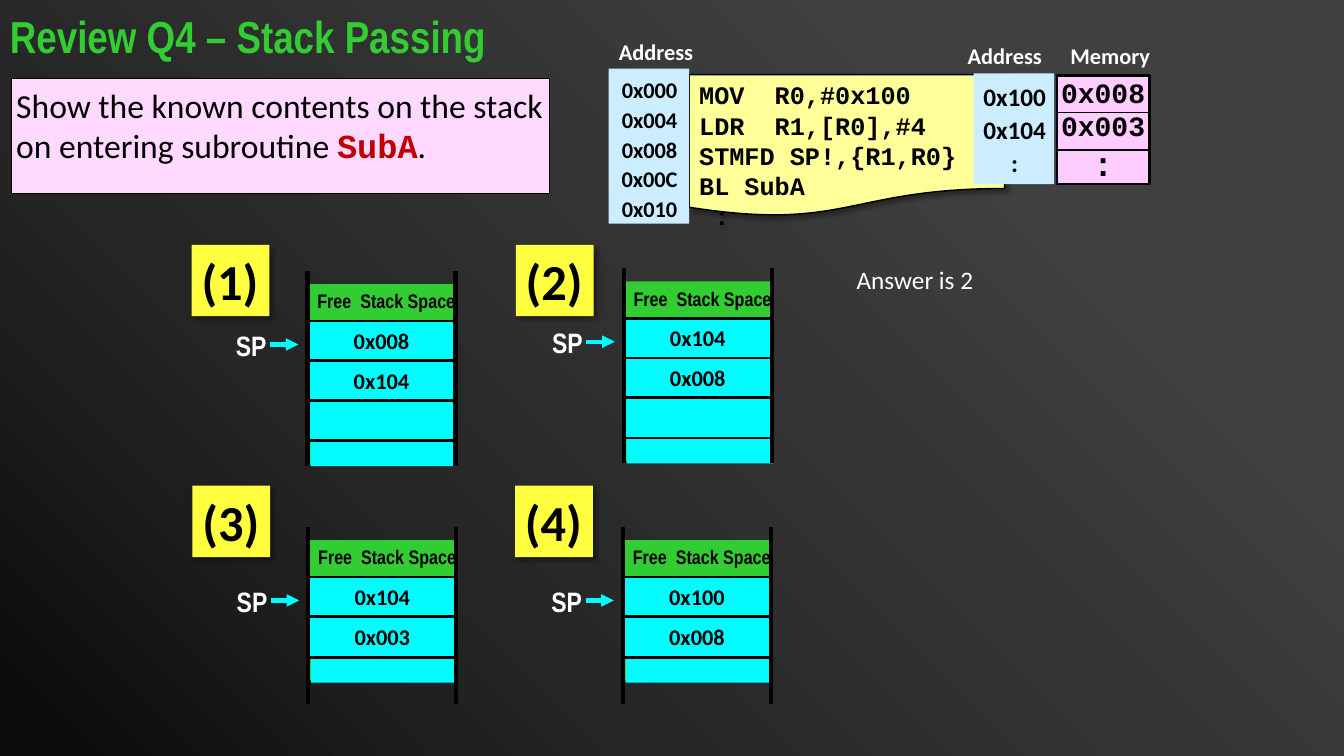
"""Build the stack passing review slide."""
from pptx import Presentation
from pptx.dml.color import RGBColor
from pptx.enum.shapes import MSO_CONNECTOR, MSO_SHAPE
from pptx.enum.text import MSO_ANCHOR, MSO_AUTO_SIZE, PP_ALIGN
from pptx.oxml import parse_xml
from pptx.oxml.ns import nsdecls, qn
from pptx.util import Cm, Pt
from lxml.etree import SubElement

BLACK, WHITE, GREEN, CYAN = "000000", "FFFFFF", "32CD32", "00FCFF"
YELLOW, PALE, SKY, PINK, ROSE = "FFFF40", "FFFF99", "CCECFF", "FFCCFF", "FFD9FF"
RED = "C00000"
SANS, THIN, CODE = "Calibri", "Arial Narrow", "Courier New"
LEFT, MID, RIGHT = PP_ALIGN.LEFT, PP_ALIGN.CENTER, PP_ALIGN.RIGHT


def tint(code):
    """Turn a hex string into a colour."""
    return RGBColor.from_string(code)


def style(run, size, face, color, bold=True):
    """Format one run."""
    font = run.font
    font.size, font.name, font.bold = Pt(size), face, bold
    font.color.rgb = tint(color)


def write(shape, text, size, face=SANS, color=BLACK, bold=True, align=LEFT,
          inset=(0.25, 0.13, 0.25, 0.13), wrap=True, middle=False, after=0, lead=None):
    """Fill a shape with evenly formatted text."""
    frame = shape.text_frame
    frame.text = text
    frame.word_wrap = wrap
    frame.auto_size = MSO_AUTO_SIZE.NONE
    frame.vertical_anchor = MSO_ANCHOR.MIDDLE if middle else MSO_ANCHOR.TOP
    (frame.margin_left, frame.margin_top,
     frame.margin_right, frame.margin_bottom) = map(Cm, inset)
    for para in frame.paragraphs:
        para.alignment = align
        para.space_after = Pt(after)
        if lead:
            para.line_spacing = lead
        for run in para.runs:
            style(run, size, face, color, bold)


def label(shapes, box, text, size, **look):
    """Add a text box."""
    area = shapes.add_textbox(*map(Cm, box))
    write(area, text, size, **look)
    return area


def block(shapes, box, fill, edge=0, form=MSO_SHAPE.RECTANGLE):
    """Add a filled shape, with a black edge if a width is given."""
    shape = shapes.add_shape(form, *map(Cm, box))
    shape.shadow.inherit = False
    shape.fill.solid()
    shape.fill.fore_color.rgb = tint(fill)
    if edge:
        shape.line.color.rgb = tint(BLACK)
        shape.line.width = Pt(edge)
    else:
        shape.line.fill.background()
    return shape


def shade(shape):
    """Give a shape a soft diagonal shadow."""
    cast = parse_xml(
        f'<a:outerShdw {nsdecls("a")} blurRad="50800" dist="38100" dir="2700000" '
        'algn="tl" rotWithShape="0"><a:srgbClr val="000000"><a:alpha val="40000"/>'
        '</a:srgbClr></a:outerShdw>')
    shape._element.spPr.find(qn("a:effectLst")).append(cast)


def rule(shapes, ends, color, width, arrow=False):
    """Add a straight line or arrow."""
    line = shapes.add_connector(MSO_CONNECTOR.STRAIGHT, *map(Cm, ends))
    line.line.color.rgb = tint(color)
    line.line.width = Pt(width)
    if arrow:
        SubElement(line.line._get_or_add_ln(), qn("a:tailEnd"), type="triangle")
    SubElement(line._element.spPr, qn("a:effectLst"))


def backdrop(slide):
    """Paint the dark diagonal gradient."""
    fill = slide.background.fill
    fill.gradient()
    fill.gradient_angle = 225
    stops = fill.gradient_stops._gsLst
    for stop in list(stops):
        stops.remove(stop)
    for place, color in ((0, "404040"), (23, "404040"), (69, "262626"), (97, "0D0D0D")):
        stop = SubElement(stops, qn("a:gs"), pos=str(place * 1000))
        SubElement(stop, qn("a:srgbClr"), val=color)


def badge(shapes, x, y, text):
    """Add a yellow answer number."""
    card = block(shapes, (x, y, 1.96, 1.8), YELLOW)
    shade(card)
    write(card, text, 36, wrap=False)


def heading(shapes, x, y, text, width=2.54, align=RIGHT):
    """Add a white column heading."""
    label(shapes, (x, y, width, 0.94), text, 16, color=WHITE, align=align,
          inset=(0.13,) * 4)


def column(shapes, x, y, height, head, codes, size):
    """Add a blue column of addresses under its heading."""
    block(shapes, (x, y, 2.03, height), SKY)
    heading(shapes, head, y - 0.91, "Address")
    label(shapes, (x, y + 0.2, 2.06, height - 0.2), "\n".join(codes), size,
          align=MID, inset=(0,) * 4, after=2)


def stack(shapes, x, y, values, depth, tall):
    """Add one candidate stack with its pointer and side rails."""
    wide, high, step, first = 3.73, 1.02, 1, 0.93
    free = block(shapes, (x, y, wide, 3.8), GREEN)
    free.height = Cm(first + depth * step + 0.6)
    write(free, "Free  Stack Space", 14, THIN, wrap=False)
    block(shapes, (x + 0.07, y + first + depth * step, 3.7, 0.66), CYAN)
    for row in range(depth):
        cell = block(shapes, (x, y + first + row * step, wide, high), CYAN, 2)
        if row < len(values):
            write(cell, values[row], 16, align=MID, middle=True, lead=Pt(18),
                  inset=(0.25, 0.05, 0.25, 0.05))
    label(shapes, (x - 2.22, y + 1.06, 1.19, 0.97), "SP", 20, face=THIN, color=WHITE,
          align=RIGHT, middle=True, inset=(0.05, 0.05, 0, 0.05))
    rule(shapes, (x - 0.94, y + 1.52, x - 0.23, y + 1.52), CYAN, 3, True)
    for side in (x, x + wide):
        rule(shapes, (side, y - 0.33, side, y + tall), BLACK, 3)


def prompt(shapes):
    """Add the question in its pink panel."""
    block(shapes, (0.28, 1.98, 13.56, 2.9), ROSE, 0.75)
    area = label(shapes, (0.28, 2.13, 13.54, 2.06),
                 "Show the known contents on the stack on entering subroutine ", 24,
                 bold=False, inset=(0.13, 0, 0, 0))
    para = area.text_frame.paragraphs[0]
    for text, face, color, bold in (("SubA", CODE, RED, True), (".", SANS, BLACK, False)):
        run = para.add_run()
        run.text = text
        style(run, 24, face, color, bold)


def program(shapes):
    """Add the code sheet with its addresses."""
    sheet = block(shapes, (17.37, 1.88, 7.95, 3.58), PALE, 1,
                  MSO_SHAPE.FLOWCHART_DOCUMENT)
    shade(sheet)
    write(sheet, "MOV  R0,#0x100\nLDR  R1,[R0],#4\nSTMFD SP!,{R1,R0}\nBL SubA\n :",
          18, CODE)
    codes = ("0x000", "0x004", "0x008", "0x00C", "0x010")
    column(shapes.add_group_shape().shapes, 15.34, 1.73, 3.91, 15.06, codes, 16)


def memory(shapes):
    """Add the memory table with its addresses."""
    block(shapes, (26.64, 1.9, 2.34, 2.74), PINK, 2)
    heading(shapes, 26.57, 0.94, "Memory", 2.82, MID)
    column(shapes, 24.54, 1.85, 2.79, 23.85, ("0x100", "0x104", ":"), 18)
    for y in (2.84, 3.78):
        rule(shapes, (26.64, y, 28.98, y), BLACK, 0.75)
    cells = label(shapes, (26.67, 1.9, 2.26, 2.74), "0x008\n0x003\n:", 20,
                  face=CODE, align=MID, inset=(0,) * 4)
    cells.text_frame.paragraphs[2].runs[0].font.size = Pt(24)


def main():
    """Build and save the slide."""
    deck = Presentation()
    deck.slide_width, deck.slide_height = Cm(33.87), Cm(19.05)
    slide = deck.slides.add_slide(deck.slide_layouts[5])
    shapes = slide.shapes
    backdrop(slide)
    title = shapes.title
    title.left, title.top, title.width, title.height = map(Cm, (0, 0.1, 23.85, 1.75))
    write(title, "Review Q4 – Stack Passing", 32, THIN, GREEN, middle=True, lead=0.9)
    prompt(shapes)
    program(shapes)
    memory(shapes)
    for name, left, top, x, y, values, depth, tall in (
            ("(1)", 4.83, 6.17, 7.75, 7.16, ("0x008", "0x104"), 3, 4.57),
            ("(2)", 13, 6.17, 15.72, 7.09, ("0x104", "0x008"), 3, 4.57),
            ("(3)", 4.85, 12.24, 7.77, 13.61, ("0x104", "0x003"), 2, 4.14),
            ("(4)", 12.98, 12.24, 15.7, 13.61, ("0x100", "0x008"), 2, 4.14)):
        badge(shapes, left, top, name)
        stack(shapes.add_group_shape().shapes, x, y, values, depth, tall)
    label(shapes, (21.34, 6.53, 5.74, 1.02), "Answer is 2", 18, color=WHITE, bold=False)
    deck.save("out.pptx")


if __name__ == "__main__":
    main()
